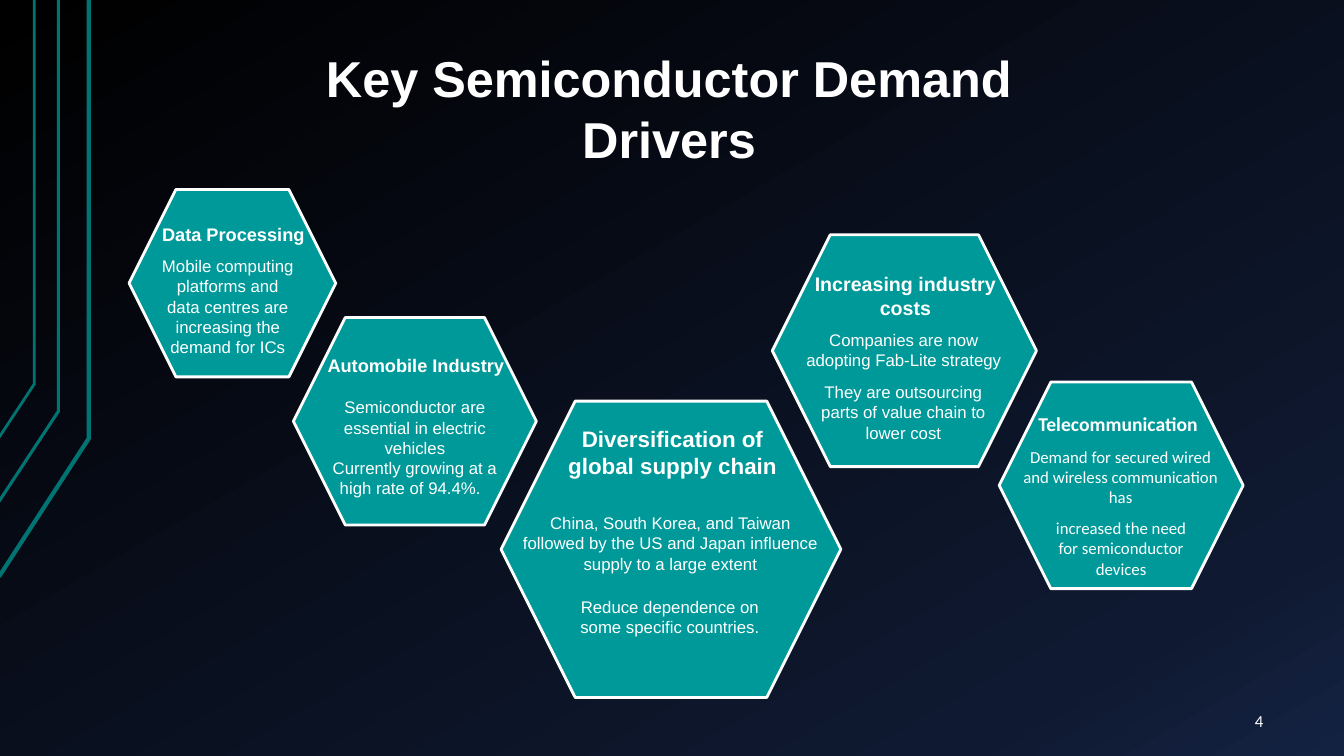
import copy
from dataclasses import dataclass

import pptx
import pptx.dml.color
import pptx.enum.shapes
import pptx.enum.text
import pptx.util
from pptx.util import Inches

ALIGN = pptx.enum.text.PP_ALIGN


@dataclass(frozen=True)
class Theme:
    white: str = "FFFFFF"
    teal: str = "009999"
    dark_teal: str = "007373"
    background: tuple = ((0, "000000"), (0.85, "0F1931"), (1, "142242"))
    font: str = "Arial"
    alternate_font: str = "Calibri"
    title: int = 36
    large_heading: int = 16
    heading: int = 14
    small_heading: int = 13
    body: int = 12
    outline: float = 2


THEME = Theme()

# Corner lines: start, bend and top point, then line width
CORNER_LINES = [
    ([(-0.01, 5.72), (0.88, 4.35), (0.88, 0)], 3),
    ([(-0.02, 4.99), (0.58, 4.08), (0.58, 0)], 2.25),
    ([(-0.01, 4.34), (0.34, 3.81), (0.34, 0)], 2),
]


@dataclass(frozen=True)
class Driver:
    hexagon: tuple
    heading_box: tuple
    heading: str
    heading_size: int
    bodies: list  # (box, paragraphs)
    heading_align: ALIGN = ALIGN.CENTER
    font: str = THEME.font


DRIVERS = [
    Driver((1.28, 1.88, 2.05, 1.86), (1.51, 2.17, 1.64, 0.32),
           "Data Processing", THEME.small_heading,
           [((1.48, 2.49, 1.56, 1.11),
             ["Mobile computing platforms and data centres are increasing the demand for ICs"])],
           ALIGN.LEFT),
    Driver((2.91, 3.15, 2.41, 2.06), (3.15, 3.47, 2.08, 0.32),
           "Automobile Industry", THEME.small_heading,
           [((3.14, 3.89, 1.95, 1.11),
             ["Semiconductor are essential in electric vehicles",
              "Currently growing at a high rate of 94.4%.  "])],
           ALIGN.LEFT),
    Driver((4.97, 3.98, 3.37, 2.94), (5.53, 4.17, 2.28, 0.91),
           "Diversification of global supply chain", THEME.large_heading,
           [((5.07, 5.04, 3.16, 0.71),
             ["China, South Korea, and Taiwan followed by the US and Japan "
              "influence supply to a large extent"]),
            ((5.65, 5.87, 1.99, 0.88),
             ["Reduce dependence on some specific countries. "])]),
    Driver((7.66, 2.33, 2.62, 2.3), (7.84, 2.65, 2.28, 0.57),
           "Increasing industry costs", THEME.heading,
           [((7.86, 3.22, 2.21, 0.5),
             ["Companies are now adopting Fab-Lite strategy"]),
            ((8.04, 3.74, 1.84, 0.88),
             ["They are outsourcing parts of value chain to lower cost"])]),
    Driver((9.91, 3.79, 2.42, 2.05), (10.2, 4.04, 1.84, 0.34),
           "Telecommunication", THEME.heading,
           [((10.03, 4.38, 2.17, 0.71),
             ["Demand for secured wired and wireless communication has"]),
            ((10.29, 5.09, 1.66, 0.71),
             ["increased the need for semiconductor devices"])],
           ALIGN.LEFT, THEME.alternate_font),
]


def rgb(value):
    return pptx.dml.color.RGBColor.from_string(value)


def set_line(shape, color, width):
    shape.line.color.rgb = rgb(color)
    shape.line.width = pptx.util.Pt(width)


def set_background(slide):
    fill = slide.background.fill
    fill.gradient()
    fill.gradient_angle = 300  # counter-clockwise
    stop_list = slide.element.xpath(".//a:gsLst")[0]
    stop_list.append(copy.deepcopy(stop_list[-1]))
    for stop, (position, color) in zip(fill.gradient_stops, THEME.background):
        stop.position = position
        stop.color.rgb = rgb(color)


def add_corner_line(slide, points, width):
    start, *others = [(Inches(x), Inches(y)) for x, y in points]
    builder = slide.shapes.build_freeform(*start)
    builder.add_line_segments(others, close=False)
    shape = builder.convert_to_shape()
    shape.shadow.inherit = False
    shape.fill.background()
    set_line(shape, THEME.dark_teal, width)


def add_hexagon(slide, box):
    shape = slide.shapes.add_shape(
        pptx.enum.shapes.MSO_SHAPE.HEXAGON, *map(Inches, box))
    shape.shadow.inherit = False
    shape.fill.solid()
    shape.fill.fore_color.rgb = rgb(THEME.teal)
    set_line(shape, THEME.white, THEME.outline)


def add_text(slide, box, paragraphs, size, font=THEME.font, bold=False,
             align=ALIGN.CENTER):
    frame = slide.shapes.add_textbox(*map(Inches, box)).text_frame
    frame.word_wrap = True
    frame.text = "\n".join(paragraphs)
    for paragraph in frame.paragraphs:
        paragraph.alignment = align
        paragraph.font.name = font
        paragraph.font.size = pptx.util.Pt(size)
        paragraph.font.bold = bold
        paragraph.font.color.rgb = rgb(THEME.white)
    return frame


def add_driver(slide, driver):
    add_hexagon(slide, driver.hexagon)
    add_text(slide, driver.heading_box, [driver.heading], driver.heading_size,
             driver.font, True, driver.heading_align)
    for box, paragraphs in driver.bodies:
        add_text(slide, box, paragraphs, THEME.body, driver.font)


def add_page_number(slide, number):
    frame = add_text(slide, (11.55, 6.95, 1.11, 0.4), [number], THEME.body,
                     THEME.alternate_font, align=ALIGN.RIGHT)
    frame.vertical_anchor = pptx.enum.text.MSO_ANCHOR.MIDDLE
    frame.margin_left = frame.margin_right = Inches(0.13)
    frame.margin_top = frame.margin_bottom = Inches(0.07)


def main():
    presentation = pptx.Presentation()
    presentation.slide_width = Inches(13.33)
    presentation.slide_height = Inches(7.5)
    slide = presentation.slides.add_slide(presentation.slide_layouts[6])

    # Backdrop
    set_background(slide)
    for points, width in CORNER_LINES:
        add_corner_line(slide, points, width)

    # Title and page number
    add_text(slide, (3.04, 0.42, 7.19, 1.31),
             ["Key Semiconductor Demand Drivers"], THEME.title, bold=True)
    add_page_number(slide, "4")

    # Demand drivers
    for driver in DRIVERS:
        add_driver(slide, driver)

    presentation.save("out.pptx")


if __name__ == "__main__":
    main()
